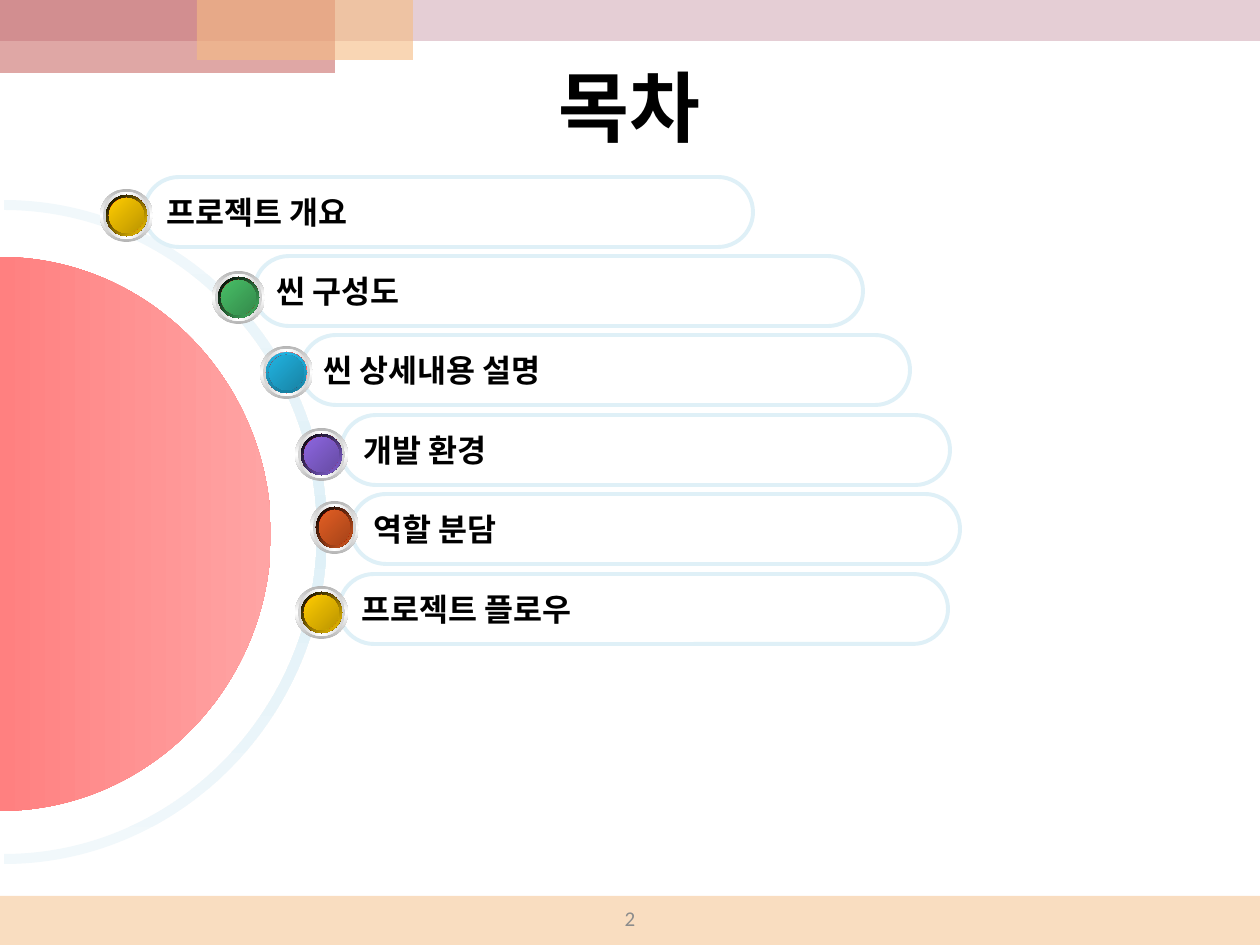
from pptx import Presentation
from pptx.dml.color import RGBColor as RGB
from pptx.enum.shapes import MSO_SHAPE as SHAPE
from pptx.enum.text import MSO_ANCHOR as ANCHOR, PP_ALIGN as ALIGN
from pptx.oxml import parse_xml
from pptx.oxml.ns import nsdecls, qn
from pptx.util import Pt

PX = 914400 / 126
FINE = 10  # freeform units per px

BLACK, WHITE, RED = RGB(0, 0, 0), RGB(255, 255, 255), RGB(255, 0, 0)
PEACH, MAUVE, BRICK = RGB(0xF5, 0xBC, 0x83), RGB(0xCC, 0x9E, 0xAC), RGB(0xC0, 0x50, 0x4D)
ICE, PALE_ICE = RGB(0xDF, 0xF0, 0xF7), RGB(0xF1, 0xF8, 0xFB)
CORAL, DEEP_CORAL = RGB(0xFF, 0x7E, 0x7E), RGB(0xFF, 0x76, 0x76)
MID_CORAL, LIGHT_CORAL = RGB(0xFF, 0x80, 0x80), RGB(0xFF, 0xA4, 0xA4)
GREY, YELLOW, GREEN = RGB(0x8C, 0x8C, 0x8C), RGB(0xFF, 0xCC, 0), RGB(0x48, 0xBE, 0x67)
BLUE, PURPLE, ORANGE = RGB(0x21, 0xB3, 0xE1), RGB(0x8D, 0x67, 0xE1), RGB(0xE3, 0x5E, 0x23)


def paint(sp, stops, angle):
    """Fill with a linear gradient of (percent, colour, shade) stops, angle clockwise."""
    sp.shadow.inherit = False
    sp.line.fill.background()
    sp.fill.background()
    gs = ""
    for pos, color, shade in stops:
        tone = f'<a:shade val="{shade * 1000}"/>' if shade < 100 else ""
        gs += f'<a:gs pos="{pos * 1000}"><a:srgbClr val="{color}">{tone}</a:srgbClr></a:gs>'
    grad = parse_xml(f'<a:gradFill {nsdecls("a")} rotWithShape="1"><a:gsLst>{gs}</a:gsLst>'
                     f'<a:lin ang="{angle * 60000}" scaled="0"/></a:gradFill>')
    spPr = sp._element.spPr
    spPr.replace(spPr.find(qn("a:noFill")), grad)


def write(sp, text, align, font):
    tf = sp.text_frame
    tf.vertical_anchor = ANCHOR.MIDDLE
    p = tf.paragraphs[0]
    p.alignment = align
    r = p.add_run()
    r.text = text
    for key, value in font.items():
        if key != "color":
            setattr(r.font, key, value)
    r.font.color.rgb = font["color"]
    ea = parse_xml(f'<a:ea {nsdecls("a")} typeface="{font["name"]}"/>')
    r.font._element.find(qn("a:latin")).addnext(ea)


prs = Presentation()
prs.slide_width, prs.slide_height = int(1260 * PX), int(945 * PX)
s = prs.slides.add_slide(prs.slide_layouts[6])

# Translucent bands at the top and bottom
for x, y, w, h, color, opacity in [
    (0, 896, 1260, 49, PEACH, 50),
    (0, 0, 1260, 41, MAUVE, 50),
    (0, 0, 335, 73, BRICK, 50),
    (197, 0, 216, 60, PEACH, 60),
]:
    sp = s.shapes.add_shape(SHAPE.RECTANGLE, *(int(v * PX) for v in (x, y, w, h)))
    sp.shadow.inherit = False
    sp.line.fill.background()
    sp.fill.solid()
    sp.fill.fore_color.rgb = color
    clr = sp._element.spPr.find(qn("a:solidFill"))[0]
    clr.append(parse_xml(f'<a:alpha {nsdecls("a")} val="{opacity * 1000}"/>'))

# Title and page number
KOREAN = {"name": "Noto Sans CJK KR", "bold": True, "color": BLACK}
for box, text, font in [
    ((68, 43, 1123, 126), "목차", {**KOREAN, "size": Pt(44)}),
    ((483, 901, 294, 34), "2", {"name": "Calibri", "size": Pt(12), "color": GREY}),
]:
    sp = s.shapes.add_textbox(*(int(v * PX) for v in box))
    sp.text_frame.word_wrap = True
    write(sp, text, ALIGN.CENTER, font)

# Half ring and half disc on the left edge, as cubic curves in a full-width frame
K = 0.55
right_half = [(0, -1), (K, -1), (1, -K), (1, 0), (1, K), (K, 1), (0, 1)]
outer = [(4 + 323 * c, 532 + 332 * d) for c, d in right_half]
inner = [(4 + 313 * c, 532 + 322 * d) for c, d in right_half]
disc = [(271 * c, 534 + 277 * d) for c, d in right_half]
for curves, stops, angle in [
    ([outer, inner[::-1]], [(0, PALE_ICE, 100), (50, ICE, 100), (100, PALE_ICE, 100)], 90),
    ([disc], [(0, CORAL, 100), (30, DEEP_CORAL, 100), (50, MID_CORAL, 100), (100, LIGHT_CORAL, 100)], 0),
]:
    points = [(x * FINE, y * FINE) for curve in curves for x, y in curve]
    builder = s.shapes.build_freeform(*points[0], scale=PX / FINE)
    builder.add_line_segments(points[1:], close=True)
    sp = builder.convert_to_shape()
    outline = next(sp._element.iter(qn("a:path")))
    lines = outline.findall(qn("a:lnTo"))
    for start in range(0, len(lines), 7):
        for k in (start, start + 3):
            cubic = parse_xml(f'<a:cubicBezTo {nsdecls("a")}/>')
            lines[k].addprevious(cubic)
            for line in lines[k:k + 3]:
                cubic.append(line[0])
                outline.remove(line)
    half = int(outline.get("w"))
    outline.set("w", str(2 * half))
    for pt in outline.iter(qn("a:pt")):
        pt.set("x", str(int(pt.get("x")) + half))
    sp.left, sp.width = sp.left - sp.width, 2 * sp.width
    paint(sp, stops, angle)

# Agenda: text, pill left, button left, top and width, button colour
items = [
    ("프로젝트 개요", 144, 100, 189, 53, YELLOW),
    ("씬 구성도", 254, 212, 271, 53, GREEN),
    ("씬 상세내용 설명", 301, 260, 346, 53, BLUE),
    ("개발 환경", 341, 295, 428, 53, PURPLE),
    ("역할 분담", 351, 310, 501, 49, ORANGE),
    ("프로젝트 플로우", 339, 295, 586, 53, YELLOW),
]
for i, (text, pill_x, *_) in enumerate(items):
    pill_y = 177 + i * 397 // 5
    pill = s.shapes.add_shape(SHAPE.ROUNDED_RECTANGLE, *(int(v * PX) for v in (pill_x, pill_y, 609, 70)))
    pill.adjustments[0] = 0.5
    pill.shadow.inherit = False
    pill.fill.background()
    pill.line.color.rgb = ICE
    pill.line.width = Pt(2.25)
    pill.text_frame.word_wrap = False
    write(pill, text, ALIGN.LEFT, {**KOREAN, "size": Pt(18)})

for _, _, x, y, w, color in items:
    rim = [(0, BLUE, 100), (100, BLUE, 47)] if color == BLUE else [(0, BLACK, 100), (100, color, 100)]
    button = s.shapes.add_group_shape()
    for inset, stops, angle in [
        (0, [(0, WHITE, 46), (50, WHITE, 100), (100, WHITE, 46)], 90),
        (3, [(0, WHITE, 64), (50, WHITE, 100), (100, WHITE, 64)], 0),
        (6, [(0, WHITE, 100), (50, RED, 100), (100, WHITE, 100)], 45),
        (6, rim, 90 if color == BLUE else 45),
        (9, [(0, RED, 55), (50, RED, 100), (100, RED, 55)], 315),
        (9, [(0, color, 100), (100, color, 49)], 45),
    ]:
        box = (x + inset, y + inset, w - 2 * inset, 53 - 2 * inset)
        sp = button.shapes.add_shape(SHAPE.OVAL, *(int(v * PX) for v in box))
        paint(sp, stops, angle)

prs.save("out.pptx")
